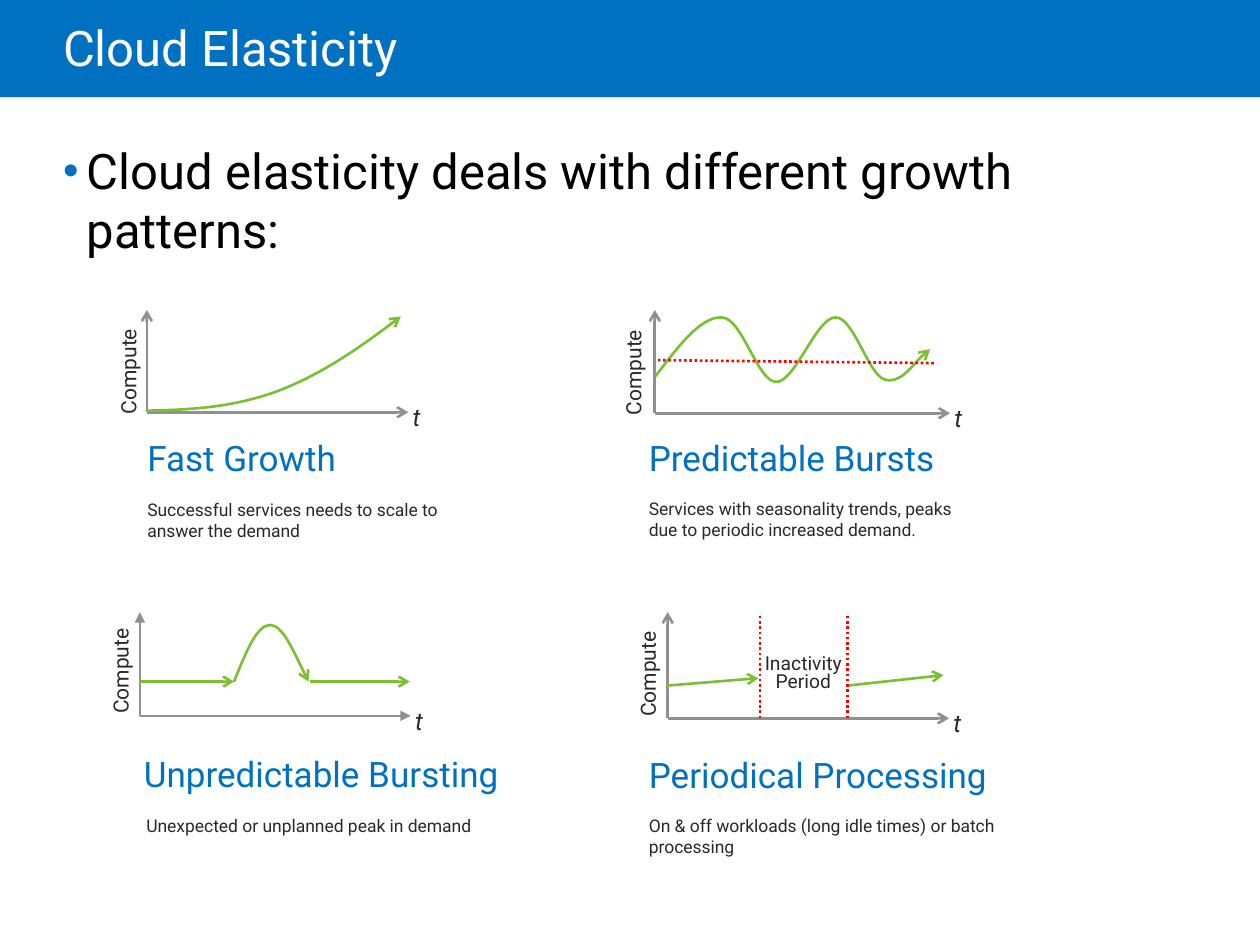
"""Build the Cloud Elasticity slide with four growth pattern diagrams."""
from dataclasses import dataclass

from lxml import etree
from pptx import Presentation
from pptx.dml.color import RGBColor
from pptx.enum.dml import MSO_LINE
from pptx.enum.shapes import MSO_CONNECTOR, MSO_SHAPE
from pptx.enum.text import MSO_ANCHOR, MSO_AUTO_SIZE, PP_ALIGN
from pptx.oxml.ns import qn
from pptx.util import Cm, Pt

STRAIGHT = MSO_CONNECTOR.STRAIGHT
DOTTED = MSO_LINE.ROUND_DOT
LEFT, CENTER = PP_ALIGN.LEFT, PP_ALIGN.CENTER
TOP, MIDDLE = MSO_ANCHOR.TOP, MSO_ANCHOR.MIDDLE
FIXED, GROW = MSO_AUTO_SIZE.NONE, MSO_AUTO_SIZE.SHAPE_TO_FIT_TEXT


@dataclass(frozen=True)
class Theme:
    font: str = "Roboto"
    blue: str = "0070C0"
    white: str = "FFFFFF"
    black: str = "000000"
    dark: str = "292929"
    gray: str = "909090"
    green: str = "7CBF33"
    red: str = "FF0000"
    title: int = 28
    heading: int = 20
    variable: int = 14
    axis: int = 12
    remark: int = 11
    note: int = 10
    stroke: float = 1.5
    tight: float = 10.7


THEME = Theme()
TITLE = "Cloud Elasticity"
STATEMENT = "Cloud elasticity deals with different growth patterns:"
REMARK = ["Inactivity", "Period"]
REMARK_BOX = (15.09, 13.08, 2.21, 1.04)

PANELS = [
    {
        "heading": "Fast Growth", "heading_at": (2.97, 8.76),
        "note": "Successful services needs to scale to answer the demand",
        "note_at": (2.97, 10.06), "note_width": 6.5,
        "origin": (2.96, 8.31), "axis_end": (8.23, 6.25), "axis_head": "arrow",
        "label_center": (2.6, 7.49),
        "trends": [[(2.95, 8.28), (3.96, 8.26), (4.7, 8.2), (5.56, 7.9),
                    (6.43, 7.57), (7.26, 7.01), (8.08, 6.38)]],
        "limits": [],
    },
    {
        "heading": "Predictable Bursts", "heading_at": (13.08, 8.76),
        "note": "Services with seasonality trends, peaks due to periodic increased demand.",
        "note_at": (13.08, 10.03), "note_width": 6.65,
        "origin": (13.2, 8.33), "axis_end": (19.15, 6.25), "axis_head": "arrow",
        "label_center": (12.78, 7.51),
        "trends": [[(13.21, 7.59), (13.67, 6.99), (14.12, 6.38), (14.55, 6.4),
                    (14.96, 6.4), (15.27, 7.7), (15.65, 7.7),
                    (16.03, 7.7), (16.46, 6.4), (16.84, 6.4),
                    (17.2, 6.38), (17.5, 7.54), (17.83, 7.65),
                    (18.14, 7.75), (18.57, 7.14), (18.75, 7.04)]],
        "limits": [[(13.26, 7.26), (18.87, 7.32)]],
    },
    {
        "heading": "Unpredictable Bursting", "heading_at": (2.9, 15.14),
        "note": "Unexpected or unplanned peak in demand",
        "note_at": (2.95, 16.43), "note_width": 8.28,
        "origin": (2.82, 14.43), "axis_end": (8.28, 12.34), "axis_head": "triangle",
        "label_center": (2.44, 13.53),
        "trends": [[(2.8, 13.74), (4.72, 13.74)],
                   [(4.72, 13.74), (4.95, 13.16), (5.18, 12.6), (5.44, 12.6),
                    (5.69, 12.6), (5.94, 13.18), (6.22, 13.74)],
                   [(6.25, 13.74), (8.26, 13.74)]],
        "limits": [],
    },
    {
        "heading": "Periodical Processing", "heading_at": (13.08, 15.16),
        "note": "On & off workloads (long idle times) or batch processing",
        "note_at": (13.08, 16.43), "note_width": 7.52,
        "origin": (13.46, 14.48), "axis_end": (19.13, 12.34), "axis_head": "arrow",
        "label_center": (13.07, 13.59),
        "trends": [[(13.46, 13.82), (15.29, 13.67)],
                   [(17.09, 13.82), (19.02, 13.61)]],
        "limits": [[(x, 14.48), (x, 12.42)] for x in (15.32, 17.09)],
    },
]


def write(box, lines, *, size, color, align=LEFT, anchor=TOP, fit=FIXED,
          insets=(0, 0, 0, 0), spacing=None, before=0, italic=False):
    frame = box.text_frame
    frame.word_wrap = True
    frame.auto_size = fit
    frame.vertical_anchor = anchor
    (frame.margin_left, frame.margin_top,
     frame.margin_right, frame.margin_bottom) = [Cm(inset) for inset in insets]
    for index, text in enumerate(lines):
        para = frame.add_paragraph() if index else frame.paragraphs[0]
        para.alignment = align
        para.space_before = Pt(before)
        if spacing:
            para.line_spacing = spacing
        span = para.add_run()
        span.text = text
        span.font.name = THEME.font
        span.font.size = Pt(size)
        span.font.italic = italic
        span.font.color.rgb = RGBColor.from_string(color)


def place(shape, left, top, width, height):
    shape.left, shape.top, shape.width, shape.height = map(Cm, (left, top, width, height))


def add_text(page, at, lines, **style):
    box = page.shapes.add_textbox(*map(Cm, at))
    write(box, lines, **style)
    return box


def add_bullet(para, color):
    props = para._p.get_or_add_pPr()
    props.set("marL", str(Cm(0.48)))
    props.set("indent", str(-Cm(0.48)))
    tint = etree.SubElement(props, qn("a:buClr"))
    etree.SubElement(tint, qn("a:srgbClr"), val=color)
    etree.SubElement(props, qn("a:buSzPct"), val="90000")
    etree.SubElement(props, qn("a:buFont"), typeface="Arial")
    etree.SubElement(props, qn("a:buChar"), char="•")


def add_curve(page, points):
    start, *rest = [(Cm(x), Cm(y)) for x, y in points]
    builder = page.shapes.build_freeform(*start)
    builder.add_line_segments(rest, close=False)
    curve = builder.convert_to_shape()
    curve.fill.background()
    outline = curve.element.find(".//" + qn("a:path"))
    segments = outline.findall(qn("a:lnTo"))
    for first in range(0, len(segments), 3):
        bend = etree.SubElement(outline, qn("a:cubicBezTo"))
        for segment in segments[first:first + 3]:
            bend.append(segment[0])
            outline.remove(segment)
    return curve


def add_line(page, points, color, head=None, dash=None):
    if len(points) == 2:
        stroke = page.shapes.add_connector(STRAIGHT, *[Cm(v) for point in points for v in point])
    else:
        stroke = add_curve(page, points)
    stroke.line.color.rgb = RGBColor.from_string(color)
    stroke.line.width = Pt(THEME.stroke)
    if dash:
        stroke.line.dash_style = dash
    outline = stroke.element.find(".//" + qn("a:ln"))
    if head:
        etree.SubElement(outline, qn("a:tailEnd"), type=head)
    outline.addnext(etree.Element(qn("a:effectLst")))


def add_panel(page, panel):
    x, y = panel["origin"]
    right, top = panel["axis_end"]
    for end in ((x, top), (right, y)):
        add_line(page, [(x, y), end], THEME.gray, head=panel["axis_head"])
    for points in panel["trends"]:
        add_line(page, points, THEME.green, head="arrow")
    for points in panel["limits"]:
        add_line(page, points, THEME.red, dash=DOTTED)
    add_text(page, (right + 0.09, y - 0.2, 2, 0.35), ["t"],
             size=THEME.variable, color=THEME.dark, italic=True)
    center_x, center_y = panel["label_center"]
    label = add_text(page, (center_x - 1.2, center_y - 0.27, 2.4, 0.54), ["Compute"],
                     size=THEME.axis, color=THEME.dark, align=CENTER, fit=GROW,
                     insets=(0.25, 0.13, 0.25, 0.13), spacing=Pt(THEME.tight))
    label.rotation = 270
    add_text(page, (*panel["heading_at"], 9.5, 1.02), [panel["heading"]],
             size=THEME.heading, color=THEME.blue, fit=GROW,
             insets=(0, 0.13, 0, 0.13), spacing=0.9)
    add_text(page, (*panel["note_at"], panel["note_width"], 0.86), [panel["note"]],
             size=THEME.note, color=THEME.dark, fit=GROW)


def main():
    deck = Presentation()
    deck.slide_width, deck.slide_height = Cm(25.4), Cm(19.05)
    page = deck.slides.add_slide(deck.slide_layouts[1])
    band = page.shapes.add_shape(MSO_SHAPE.RECTANGLE, 0, 0, deck.slide_width, Cm(1.96))
    band.shadow.inherit = False
    band.fill.solid()
    band.fill.fore_color.rgb = RGBColor.from_string(THEME.blue)
    band.line.fill.background()
    band.element.getparent().insert(2, band.element)

    title, body = page.shapes.title, page.placeholders[1]
    place(title, 1.27, 0, 21.59, 2.06)
    write(title, [TITLE], size=THEME.title, color=THEME.white, anchor=MIDDLE,
          insets=(0, 0.13, 0.25, 0.13), spacing=0.85)
    place(body, 1.27, 2.84, 22.56, 14.3)
    write(body, [STATEMENT], size=THEME.title, color=THEME.black, before=6)
    add_bullet(body.text_frame.paragraphs[0], THEME.blue)

    for panel in PANELS:
        add_panel(page, panel)
    add_text(page, REMARK_BOX, REMARK, size=THEME.remark, color=THEME.dark, align=CENTER,
             fit=GROW, insets=(0.25, 0.13, 0.25, 0.13), spacing=Pt(THEME.tight))
    deck.save("out.pptx")


if __name__ == "__main__":
    main()
